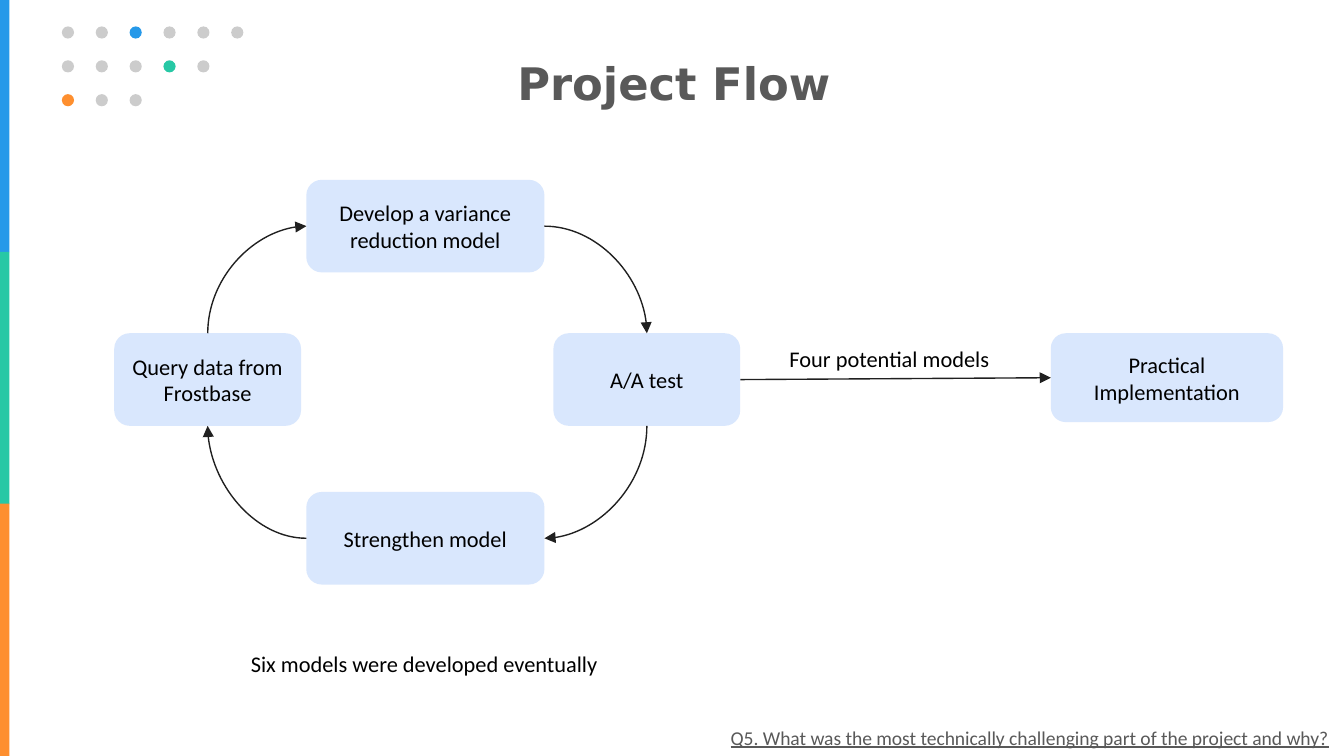
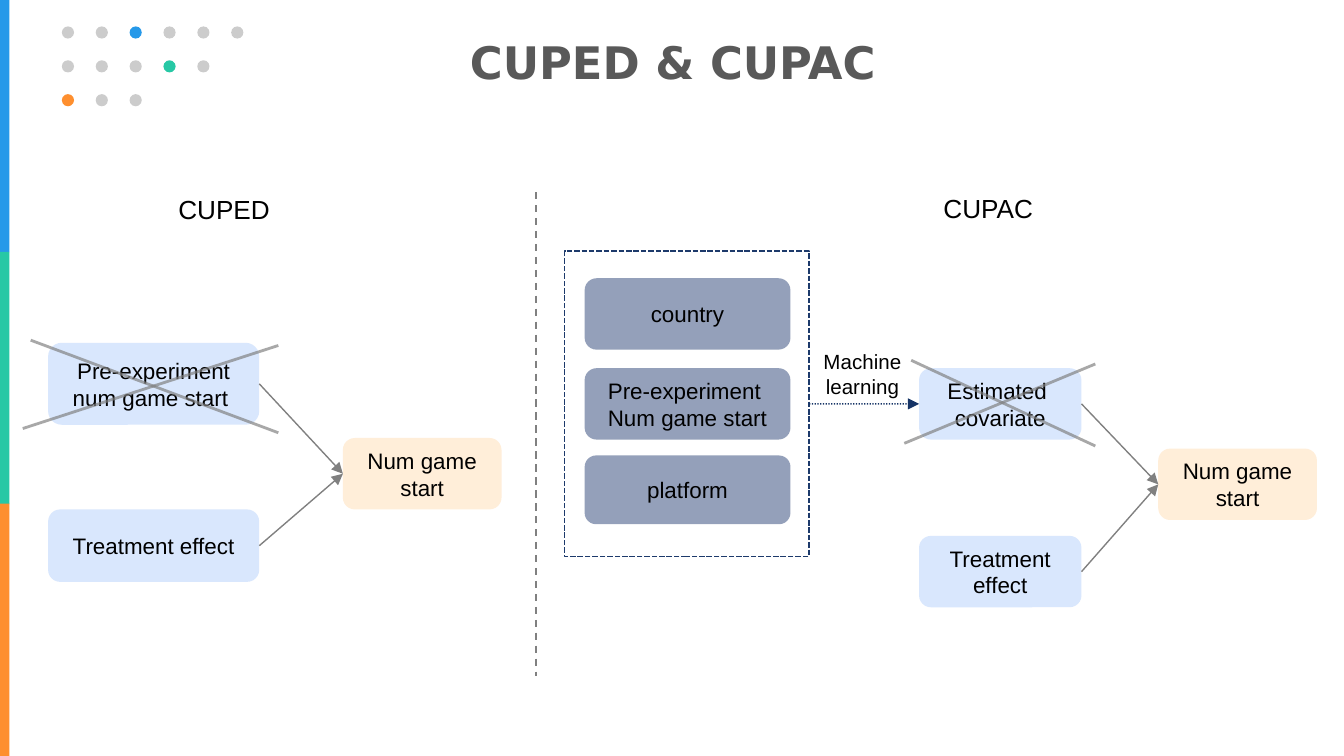
import dataclasses
import typing

import pptx
import pptx.dml.color
import pptx.enum.dml
import pptx.enum.shapes
import pptx.enum.text
import pptx.oxml.ns
import pptx.oxml.xmlchemy
import pptx.util

Cm = pptx.util.Cm
Pt = pptx.util.Pt
Form = pptx.enum.shapes.MSO_SHAPE
Wire = pptx.enum.shapes.MSO_CONNECTOR
Dash = pptx.enum.dml.MSO_LINE
Align = pptx.enum.text.PP_ALIGN
Anchor = pptx.enum.text.MSO_ANCHOR
Fit = pptx.enum.text.MSO_AUTO_SIZE
Point = tuple[float, float]

# Sides of a box, numbered as its connection sites
TOP, LEFT, BOTTOM, RIGHT = range(4)


@dataclasses.dataclass(frozen=True)
class Theme:
    blue: str = "2699E9"
    green: str = "27C8A5"
    orange: str = "FE8F2F"
    dot: str = "CCCCCC"
    title: str = "595959"
    text: str = "000000"
    pale: str = "D9E7FD"
    peach: str = "FFEED9"
    navy: str = "001E5C"
    frame: str = "1D3A6B"
    link: str = "163466"
    ink: str = "202020"
    grey: str = "808080"
    cross: str = "7F7F7F"
    head_font: str = "DejaVu Sans"
    flow_font: str = "Calibri"
    plan_font: str = "Arial"
    head_size: float = 24
    label_size: float = 14
    body_size: float = 12
    small_size: float = 11
    note_size: float = 10.5


THEME = Theme()


class Box(typing.NamedTuple):
    text: str
    x: float
    y: float
    w: float
    h: float
    fill: str = THEME.pale
    alpha: int = 100


class Pen(typing.NamedTuple):
    color: str
    width: float = 0.75
    dash: typing.Any = None
    arrow: bool = True
    alpha: int = 100


class Label(typing.NamedTuple):
    text: str
    x: float
    y: float
    w: float
    h: float
    font: str
    size: float
    color: str = THEME.text
    align: typing.Any = Align.CENTER
    line: bool = False
    frame: dict[str, typing.Any] = {"word_wrap": True, "auto_size": Fit.SHAPE_TO_FIT_TEXT}


# Helpers
def apply(target: typing.Any, values: dict[str, typing.Any]) -> None:
    for name, value in values.items():
        setattr(target, name, value)


def rgb(code: str) -> pptx.dml.color.RGBColor:
    return pptx.dml.color.RGBColor.from_string(code)


def fresh(tag: str) -> typing.Any:
    return pptx.oxml.xmlchemy.OxmlElement(tag)


def fade(part: typing.Any, alpha: int) -> None:
    if alpha < 100:
        for color in part.iter(pptx.oxml.ns.qn("a:srgbClr")):
            tag = fresh("a:alpha")
            tag.set("val", str(alpha * 1000))
            color.append(tag)


def write(frame: typing.Any, text: str, font: dict[str, typing.Any],
          color: str = THEME.text, align: typing.Any = Align.CENTER) -> None:
    frame.text = text
    for para in frame.paragraphs:
        para.alignment = align
        for run in para.runs:
            apply(run.font, font)
            run.font.color.rgb = rgb(color)


def add_form(shapes: typing.Any, form: typing.Any, box: Box) -> typing.Any:
    shape = shapes.add_shape(form, Cm(box.x), Cm(box.y), Cm(box.w), Cm(box.h))
    shape.shadow.inherit = False
    shape.line.fill.background()
    if box.fill:
        shape.fill.solid()
        shape.fill.fore_color.rgb = rgb(box.fill)
        fade(shape.element.spPr, box.alpha)
    else:
        shape.fill.background()
    return shape


def add_box(slide: typing.Any, box: Box, font: str) -> typing.Any:
    shape = add_form(slide.shapes, Form.ROUNDED_RECTANGLE, box)
    apply(shape.text_frame, {"word_wrap": True, "vertical_anchor": Anchor.MIDDLE})
    write(shape.text_frame, box.text, {"name": font, "size": Pt(THEME.body_size)})
    return shape


def add_label(slide: typing.Any, label: Label) -> None:
    shape = slide.shapes.add_textbox(*map(Cm, label[1:5]))
    apply(shape.text_frame, label.frame)
    font = {"name": label.font, "size": Pt(label.size), "underline": label.line}
    write(shape.text_frame, label.text, font, label.color, label.align)


def add_wire(shapes: typing.Any, kind: typing.Any, start: Point, end: Point, pen: Pen) -> typing.Any:
    wire = shapes.add_connector(kind, *(round(v) for v in (*start, *end)))
    apply(wire.line, {"width": Pt(pen.width), "dash_style": pen.dash})
    wire.line.color.rgb = rgb(pen.color)
    fade(wire.element.spPr, pen.alpha)
    if pen.arrow:
        tip = fresh("a:tailEnd")
        tip.set("type", "triangle")
        wire.get_or_add_ln().append(tip)
    wire.element.spPr.append(fresh("a:effectLst"))
    return wire


def site(shape: typing.Any, side: int) -> Point:
    dx, dy = ((0.5, 0), (0, 0.5), (0.5, 1), (1, 0.5))[side]
    return shape.left + dx * shape.width, shape.top + dy * shape.height


def join(slide: typing.Any, first: typing.Any, last: typing.Any, pen: Pen) -> None:
    wire = add_wire(slide.shapes, Wire.STRAIGHT, site(first, RIGHT), site(last, LEFT), pen)
    wire.begin_connect(first, RIGHT)
    wire.end_connect(last, LEFT)


def bend(slide: typing.Any, first: typing.Any, out: int, last: typing.Any, into: int, pen: Pen) -> None:
    """Draw a quarter curve; one that leaves upright is turned by 90 degrees."""
    start, end = site(first, out), site(last, into)
    turn = out in (TOP, BOTTOM)
    if turn:
        (x1, y1), (x2, y2) = start, end
        cx, cy, dx, dy = (x1 + x2) / 2, (y1 + y2) / 2, (x2 - x1) / 2, (y2 - y1) / 2
        start, end = (cx - dy, cy + dx), (cx + dy, cy - dx)
    wire = add_wire(slide.shapes, Wire.CURVE, start, end, pen)
    wire.element.spPr.prstGeom.set("prst", "curvedConnector2")
    if turn:
        wire.rotation = 90


def add_cross(slide: typing.Any, *lines: tuple[float, float, float, float]) -> None:
    group = slide.shapes.add_group_shape()
    pen = Pen(THEME.cross, 1.5, Dash.SOLID, False, 67)
    for x1, y1, x2, y2 in lines:
        add_wire(group.shapes, Wire.STRAIGHT, (Cm(x1), Cm(y1)), (Cm(x2), Cm(y2)), pen)


# Shared look: side bands, dot pattern and title
def add_page(deck: typing.Any, text: str, left: float, top: float) -> typing.Any:
    slide = deck.slides.add_slide(deck.slide_layouts[5])
    for row, color in enumerate((THEME.blue, THEME.green, THEME.orange)):
        add_form(slide.shapes, Form.RECTANGLE, Box("", 0, row * 4.76, 0.18, 4.77, color))

    dots = slide.shapes.add_group_shape()
    bright = {(0, 2): THEME.blue, (1, 3): THEME.green, (2, 0): THEME.orange}
    for row, count in enumerate((6, 5, 3)):
        for col in range(count):
            color = bright.get((row, col), THEME.dot)
            spot = Box("", 1.17 + col * 0.64, 0.5 + row * 0.64, 0.23, 0.23, color)
            add_form(dots.shapes, Form.OVAL, spot)

    title = slide.shapes.title
    apply(title, {"left": Cm(left), "top": Cm(top), "width": Cm(22.83), "height": Cm(2.06)})
    sides = ("margin_left", "margin_top", "margin_right", "margin_bottom")
    apply(title.text_frame, dict.fromkeys(sides, Cm(0.25)))
    apply(title.text_frame, {"word_wrap": True, "auto_size": Fit.NONE, "vertical_anchor": Anchor.MIDDLE})
    font = {"name": THEME.head_font, "size": Pt(THEME.head_size), "bold": True}
    write(title.text_frame, text, font, THEME.title)
    return slide


def add_flow(deck: typing.Any) -> None:
    slide = add_page(deck, "Project Flow", 1.32, 0.53)

    # Steps
    test, model, query, strong, final = (
        add_box(slide, box, THEME.flow_font) for box in (
            Box("A/A test", 10.46, 6.3, 3.53, 1.75),
            Box("Develop a variance reduction model", 5.79, 3.4, 4.5, 1.75),
            Box("Query data from Frostbase", 2.16, 6.3, 3.53, 1.75),
            Box("Strengthen model", 5.79, 9.3, 4.5, 1.75),
            Box("Practical Implementation", 19.86, 6.3, 4.39, 1.68),
        ))

    # Loop and exit
    pen = Pen(THEME.ink)
    for first, out, last, into in (
        (query, TOP, model, LEFT),
        (model, RIGHT, test, TOP),
        (test, BOTTOM, strong, RIGHT),
        (strong, LEFT, query, BOTTOM),
    ):
        bend(slide, first, out, last, into, pen)
    join(slide, test, final, pen)

    # Remarks
    font, size = THEME.flow_font, THEME.body_size
    add_label(slide, Label("Six models were developed eventually", 4.39, 12.17, 7.26, 0.76, font, size))
    add_label(slide, Label("Four potential models", 14.17, 6.4, 5.28, 0.76, font, size))
    add_label(slide, Label(
        "Q5. What was the most technically challenging part of the project and why?",
        13.56, 13.59, 12.01, 0.71, font, THEME.note_size, THEME.title, Align.LEFT, True,
        {"word_wrap": False, "auto_size": Fit.SHAPE_TO_FIT_TEXT}))


def add_plan(deck: typing.Any) -> None:
    slide = add_page(deck, "CUPED & CUPAC", 1.3, 0.13)
    font = THEME.plan_font

    # Headings of the halves, with a divider
    inset = {"word_wrap": True, "margin_left": Cm(1.52), "margin_top": Cm(0.25)}
    for text, x, y, w, h in (("CUPED", 1.85, 3.4, 4.37, 1.35), ("CUPAC", 16.31, 3.38, 3.61, 0.94)):
        add_label(slide, Label(text, x, y, w, h, font, THEME.label_size, align=Align.LEFT, frame=inset))
    add_wire(slide.shapes, Wire.STRAIGHT, (Cm(10.13), Cm(3.63)), (Cm(10.13), Cm(12.78)),
             Pen(THEME.grey, 1, Dash.DASH, False))

    # Two causes lead to one result in each half
    halves = (
        (Box("Pre-experiment\nnum game start ", 0.91, 6.48, 3.99, 1.55),
         Box("Treatment effect", 0.91, 9.63, 3.99, 1.37),
         Box("Num game start", 6.48, 8.28, 3, 1.35, THEME.peach)),
        (Box("Estimated \ncovariate", 17.37, 6.96, 3.07, 1.35),
         Box("Treatment effect", 17.37, 10.13, 3.07, 1.35),
         Box("Num game start", 21.89, 8.48, 3, 1.35, THEME.peach)),
    )
    for half in halves:
        cause, effect, result = (add_box(slide, box, font) for box in half)
        for first in (cause, effect):
            join(slide, first, result, Pen(THEME.grey))

    # Features inside the dashed frame; cause is now the estimate
    for text, y, h in (
        ("country", 5.26, 1.35),
        ("Pre-experiment \nNum game start", 6.96, 1.35),
        ("platform", 8.61, 1.3),
    ):
        add_box(slide, Box(text, 11.05, y, 3.89, h, THEME.navy, 42), font)
    frame = add_form(slide.shapes, Form.RECTANGLE, Box("", 10.67, 4.75, 4.62, 5.77, ""))
    frame.line.color.rgb = rgb(THEME.frame)
    apply(frame.line, {"width": Pt(1), "dash_style": Dash.SQUARE_DOT})
    join(slide, frame, cause, Pen(THEME.link, 0.75, Dash.ROUND_DOT))
    add_label(slide, Label("Machine learning", 15.27, 6.48, 2.06, 1.19, font, THEME.small_size))

    # Crossed-out causes
    add_cross(slide, (0.58, 6.43, 5.26, 8.18), (0.43, 8.1, 5.26, 6.53))
    add_cross(slide, (17.22, 6.81, 20.7, 8.43), (17.09, 8.38, 20.7, 6.88))


def main() -> None:
    deck = pptx.Presentation()
    apply(deck, {"slide_width": Cm(25.4), "slide_height": Cm(14.29)})
    add_flow(deck)
    add_plan(deck)
    deck.save("out.pptx")


if __name__ == "__main__":
    main()
